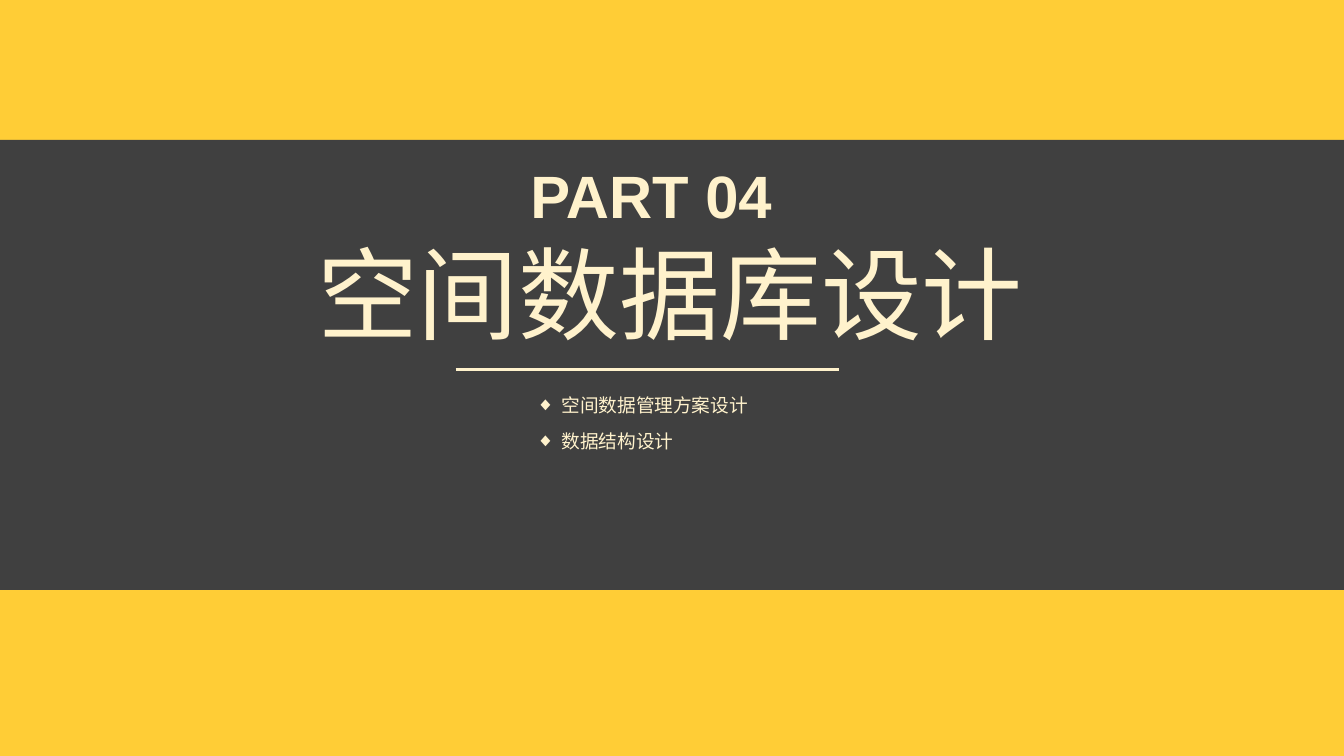
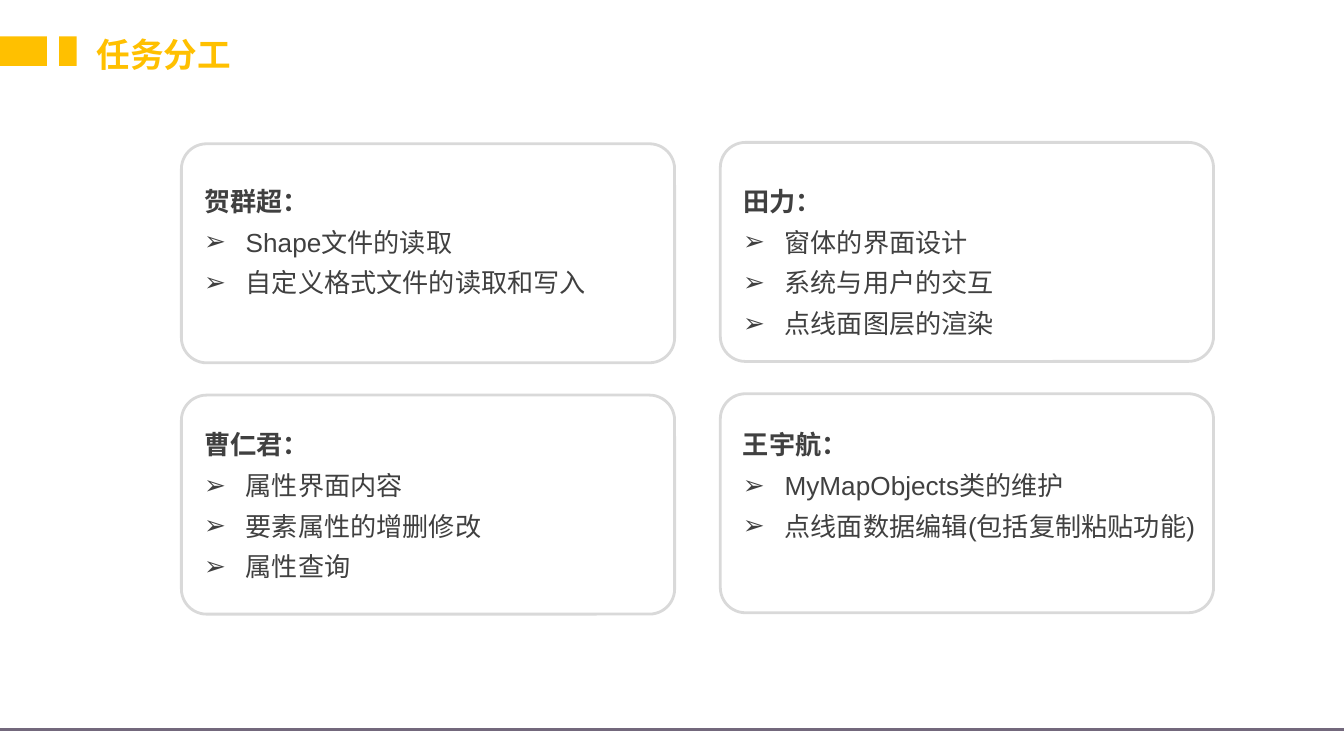
import pptx
import pptx.util
import pptx.dml.color
import pptx.enum.shapes
import pptx.enum.text
import pptx.oxml.ns
from lxml import etree

Inches = pptx.util.Inches
Pt = pptx.util.Pt
Shape = pptx.enum.shapes.MSO_SHAPE
Align = pptx.enum.text.PP_ALIGN
Anchor = pptx.enum.text.MSO_ANCHOR

FONT = "Arial"
COLORS = {
    "gold": "FFC000",
    "cream": "FFF2CC",
    "dark": "404040",
    "border": "D9D9D9",
    "footer": "73687C",
    "white": "FFFFFF",
}
WIDTH = 10
HEIGHT = WIDTH * 9 / 16

PART_LABEL = "PART 04"
PART_TITLE = "空间数据库设计"
PART_TOPICS = [("空间数据管理方案设计", 1.89), ("数据结构设计", 2.25)]

TASK_TITLE = "任务分工"
# Each row of cards: (member, text width, tasks)
TASK_ROWS = [
    [
        ("贺群超：", 3.05, ["Shape文件的读取", "自定义格式文件的读取和写入"]),
        ("田力：", 3.05, ["窗体的界面设计", "系统与用户的交互", "点线面图层的渲染"]),
    ],
    [
        ("曹仁君：", 3.05, ["属性界面内容", "要素属性的增删修改", "属性查询"]),
        ("王宇航：", 3.6, ["MyMapObjects类的维护", "点线面数据编辑(包括复制粘贴功能)"]),
    ],
]
CARD_COLUMNS = [(1.35, 1.07), (5.36, 1.06)]  # left, top of first card
CARD_SIZE = (3.67, 1.63)
CARD_PITCH = 1.87
TASK_TOP, TASK_PITCH, TASK_LINE = 1.26, 1.81, 0.3


def color(name):
    return pptx.dml.color.RGBColor.from_string(COLORS[name])


def add_child(parent, tag, **attributes):
    return etree.SubElement(parent, pptx.oxml.ns.qn(tag), attributes)


def add_block(slide, kind, left, top, width, height, fill=None, line=None):
    block = slide.shapes.add_shape(kind, Inches(left), Inches(top), Inches(width), Inches(height))
    block.shadow.inherit = False
    if fill:
        block.fill.solid()
        block.fill.fore_color.rgb = color(fill)
    else:
        block.fill.background()
    if line:
        block.line.color.rgb = color(line)
        block.line.width = Pt(1.5)
    else:
        block.line.fill.background()
    return block


def add_rule(slide, start, end, y, name):
    rule = slide.shapes.add_connector(
        pptx.enum.shapes.MSO_CONNECTOR.STRAIGHT, Inches(start), Inches(y), Inches(end), Inches(y))
    rule.line.color.rgb = color(name)
    rule.line.width = Pt(1.5)
    add_child(rule.element.spPr, "a:effectLst")


def add_box(slide, left, top, width, height, insets=(0.1, 0.05), anchor=Anchor.TOP):
    box = slide.shapes.add_textbox(Inches(left), Inches(top), Inches(width), Inches(height))
    frame = box.text_frame
    frame.word_wrap = True
    frame.auto_size = pptx.enum.text.MSO_AUTO_SIZE.SHAPE_TO_FIT_TEXT
    frame.vertical_anchor = anchor
    frame.margin_left = frame.margin_right = Inches(insets[0])
    frame.margin_top = frame.margin_bottom = Inches(insets[1])
    return frame


def write(para, text, size, name, bold=False, spacing=None, align=None, bullet=None, indent=0):
    """Fill one paragraph with one run, with an optional hanging bullet."""
    if spacing:
        para.line_spacing = spacing
    if align is not None:
        para.alignment = align
    if bullet:
        properties = para._p.get_or_add_pPr()
        properties.set("marL", str(Inches(indent)))
        properties.set("indent", str(-Inches(indent)))
        add_child(properties, "a:buFont", typeface=FONT)
        add_child(properties, "a:buChar", char=bullet)
    span = para.add_run()
    span.text = text
    span.font.name = FONT
    span.font.size = Pt(size)
    span.font.bold = bold
    span.font.color.rgb = color(name)


def add_slide(deck):
    slide = deck.slides.add_slide(deck.slide_layouts[6])
    slide.background.fill.solid()
    slide.background.fill.fore_color.rgb = color("white")
    return slide


def build_part_slide(deck):
    slide = add_slide(deck)
    backdrop = add_block(slide, Shape.RECTANGLE, 0, 0, WIDTH, HEIGHT, "gold")
    tint = backdrop.element.spPr.find(".//" + pptx.oxml.ns.qn("a:srgbClr"))
    add_child(tint, "a:alpha", val="79000")
    add_block(slide, Shape.RECTANGLE, 0, 1.04, WIDTH, 3.35, "dark")

    headings = [
        (PART_TITLE, (2.2, 1.48, 5.57, 1.12), 54, False),
        (PART_LABEL, (2.84, 1.02, 4.01, 0.7), 32, True),
    ]
    for text, place, size, bold in headings:
        frame = add_box(slide, *place, insets=(0.06, 0.03), anchor=Anchor.MIDDLE)
        write(frame.paragraphs[0], text, size, "cream", bold, 1.3, Align.CENTER)

    add_rule(slide, 3.39, 6.24, 2.75, "cream")
    for index, (topic, width) in enumerate(PART_TOPICS):
        frame = add_box(slide, 3.89, 2.88 + index * 0.27, width, 0.27)
        write(frame.paragraphs[0], topic, 10, "cream", bullet="◆", indent=0.19)


def add_title(slide, text):
    for left, width in [(0, 0.35), (0.44, 0.13)]:
        add_block(slide, Shape.RECTANGLE, left, 0.27, width, 0.22, "gold")
    frame = add_box(slide, 0.65, 0.21, 5.1, 0.38, insets=(0.07, 0.04))
    write(frame.paragraphs[0], text, 18, "gold", bold=True)


def build_task_slide(deck):
    slide = add_slide(deck)
    add_title(slide, TASK_TITLE)
    add_rule(slide, 0, WIDTH, 5.43, "footer")
    for row, members in enumerate(TASK_ROWS):
        for (left, top), (member, width, tasks) in zip(CARD_COLUMNS, members):
            card = add_block(slide, Shape.ROUNDED_RECTANGLE, left, top + row * CARD_PITCH,
                             *CARD_SIZE, line="border")
            card.adjustments[0] = 0.115
            frame = add_box(slide, left + 0.07, TASK_TOP + row * TASK_PITCH,
                            width, 0.1 + TASK_LINE * (len(tasks) + 1))
            write(frame.paragraphs[0], member, 14, "dark", bold=True, spacing=1.3)
            for task in tasks:
                write(frame.add_paragraph(), task, 14, "dark", spacing=1.3, bullet="➢", indent=0.31)


def main():
    deck = pptx.Presentation()
    deck.slide_width = Inches(WIDTH)
    deck.slide_height = Inches(HEIGHT)
    build_part_slide(deck)
    build_task_slide(deck)
    deck.save("out.pptx")


if __name__ == "__main__":
    main()
